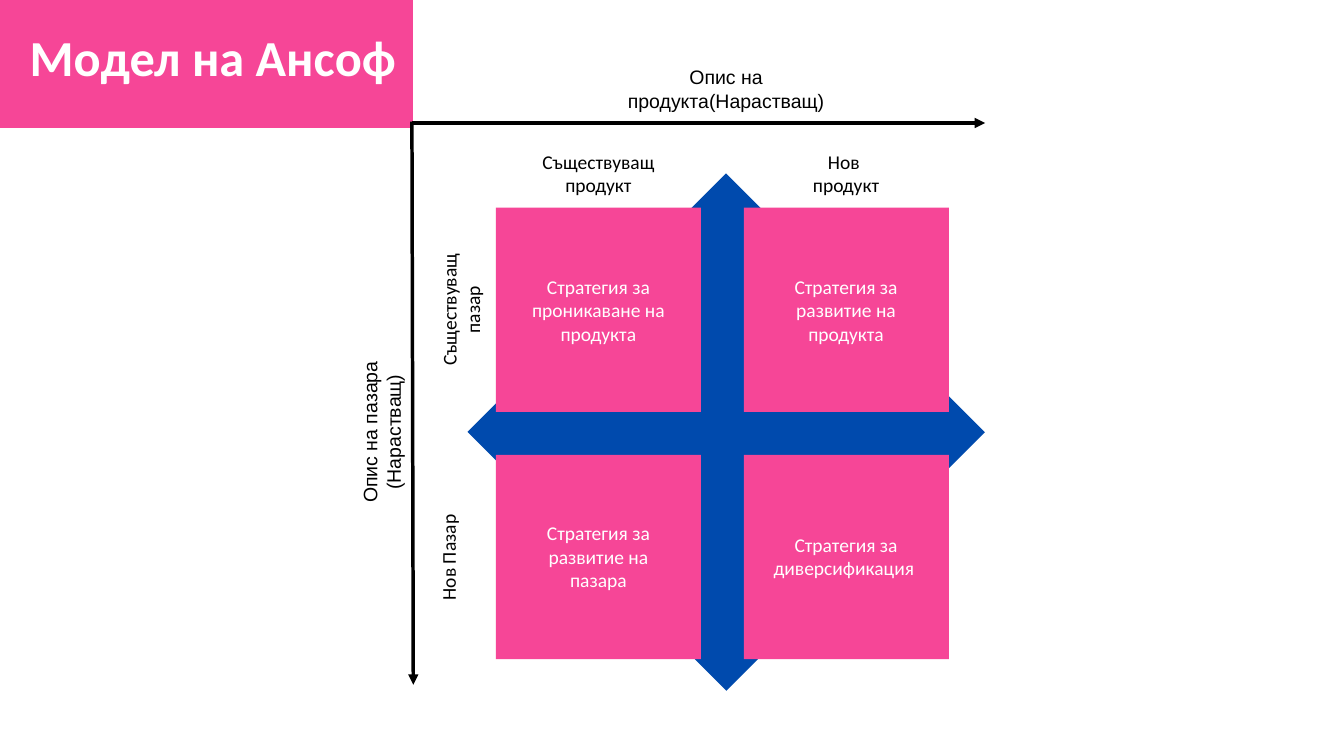
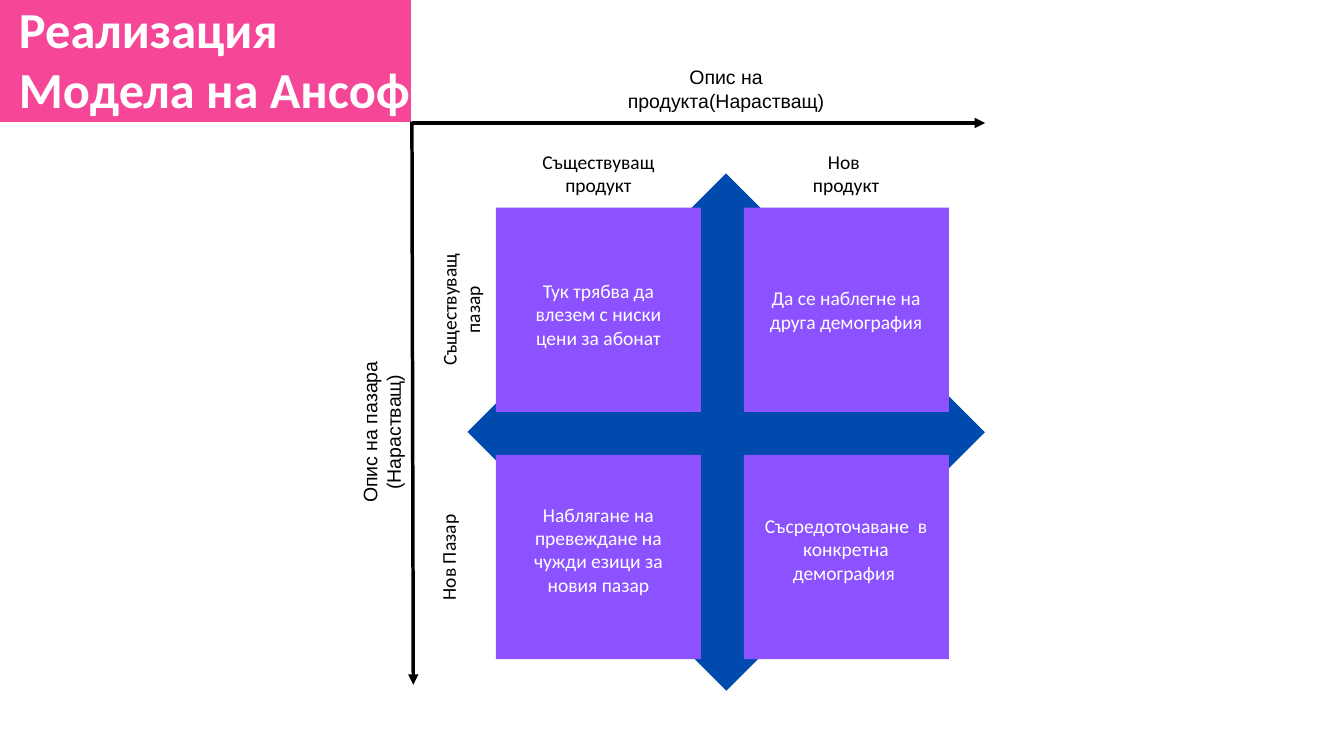
from dataclasses import dataclass
from itertools import product

from lxml.etree import SubElement
from pptx import Presentation
from pptx.dml.color import RGBColor
from pptx.enum.shapes import MSO_CONNECTOR, MSO_SHAPE
from pptx.enum.text import MSO_ANCHOR, MSO_AUTO_SIZE, PP_ALIGN
from pptx.oxml.ns import qn
from pptx.util import Emu, Pt

# Scale: 100 px to the inch
SCALE = 9144

PINK = RGBColor(0xF6, 0x46, 0x97)
BLUE = RGBColor(0x00, 0x4A, 0xAD)
VIOLET = RGBColor(0x8C, 0x52, 0xFF)
WHITE = RGBColor(0xFF, 0xFF, 0xFF)
BLACK = RGBColor(0x00, 0x00, 0x00)

# Format values
TITLE_FONT = {"name": "Calibri", "size": Pt(54), "bold": True}
TITLE_FRAME = {"vertical_anchor": MSO_ANCHOR.TOP,
               "auto_size": MSO_AUTO_SIZE.NONE}
LABEL_PARA = {"alignment": PP_ALIGN.CENTER, "line_spacing": Pt(25.1)}
LABEL_FRAME = {"margin_left": 0, "margin_top": 0, "margin_right": 0,
               "margin_bottom": 0, "word_wrap": True,
               "auto_size": MSO_AUTO_SIZE.SHAPE_TO_FIT_TEXT}

# Matrix grid
COLS, ROWS = (738, 1107), (309, 677)
CELL_W, CELL_H = 305, 304
TEXT_COLS = ((777, 227), (1135, 248))


@dataclass(frozen=True)
class Box:
    left: int
    top: int
    wide: int
    high: int

    def emu(self) -> list[Emu]:
        return [px(n) for n in (self.left, self.top, self.wide, self.high)]


@dataclass(frozen=True)
class Label:
    text: str
    box: Box
    face: str = "Calibri"
    color: RGBColor = BLACK
    turn: int = 0


@dataclass(frozen=True)
class Note:
    text: str
    top: int
    high: int


@dataclass(frozen=True)
class Page:
    title: str
    place: Box
    wrap: bool
    band: Box
    fill: RGBColor
    notes: tuple[Note, ...]  # column by column


# Labels of the axes, columns and rows
LABELS = (
    Label("Съществуващ продукт", Box(777, 223, 227, 69)),
    Label("Нов \nпродукт", Box(1167, 223, 184, 69)),
    Label("Съществуващ пазар", Box(571, 427, 227, 68), turn=270),
    Label("Нов Пазар", Box(575, 812, 184, 35), turn=270),
    Label("Опис на продукта(Нарастващ)", Box(921, 97, 319, 70), "Arial"),
    Label("Опис на пазара (Нарастващ)", Box(383, 608, 369, 70), "Arial",
          turn=270),
)

AXES = ((613, 183, 1466, 183), (613, 181, 615, 1019))

PAGES = (
    Page("Модел на Ансоф", Box(34, 34, 569, 101), False,
         Box(-14, -23, 630, 215), PINK,
         (Note("Стратегия за проникаване на продукта", 409, 103),
          Note("Стратегия за развитие на пазара", 776, 103),
          Note("Стратегия за развитие на продукта", 409, 105),
          Note("Стратегия за диверсификация ", 793, 69))),
    Page("Реализация\nМодела на Ансоф", Box(18, -8, 721, 192), True,
         Box(-14, -34, 627, 217), VIOLET,
         (Note("Тук трябва да влезем с ниски цени за абонат", 415, 103),
          Note("Наблягане на превеждане на чужди езици за новия пазар",
               748, 137),
          Note("Да се наблегне на друга демография", 426, 69),
          Note("Съсредоточаване  в конкретна демография ", 765, 103))),
)


def px(n: int) -> Emu:
    return Emu(n * SCALE)


def style(item, values: dict) -> None:
    for name, value in values.items():
        setattr(item, name, value)


def add_rect(slide, box: Box, fill: RGBColor):
    rect = slide.shapes.add_shape(MSO_SHAPE.RECTANGLE, *box.emu())
    rect.shadow.inherit = False
    rect.fill.solid()
    rect.fill.fore_color.rgb = fill
    rect.line.fill.background()
    return rect


def add_label(slide, label: Label) -> None:
    shape = slide.shapes.add_textbox(*label.box.emu())
    shape.rotation = label.turn
    frame = shape.text_frame
    style(frame, LABEL_FRAME)
    frame.text = label.text
    for para in frame.paragraphs:
        style(para, LABEL_PARA)
        style(para.font, {"name": label.face, "size": Pt(20.9)})
        para.font.color.rgb = label.color


def add_axis(slide, ends: tuple[int, ...]) -> None:
    axis = slide.shapes.add_connector(MSO_CONNECTOR.STRAIGHT, *map(px, ends))
    axis.line.width = Pt(3.75)
    axis.line.color.rgb = BLACK
    props = axis._element.spPr
    SubElement(props.find(qn("a:ln")), qn("a:tailEnd"), type="triangle")
    SubElement(props, qn("a:effectLst"))


def set_title(slide, page: Page) -> None:
    title = slide.shapes.title
    names = ("left", "top", "width", "height")
    style(title, dict(zip(names, page.place.emu())))
    frame = title.text_frame
    style(frame, TITLE_FRAME)
    frame.word_wrap = page.wrap
    frame.text = page.title
    for para in frame.paragraphs:
        para.alignment = PP_ALIGN.LEFT
        style(para.font, TITLE_FONT)
        para.font.color.rgb = WHITE
    # Bring the title in front of its band
    slide.shapes._spTree.append(title._element)


def add_page(deck, page: Page) -> None:
    slide = deck.slides.add_slide(deck.slide_layouts[5])

    # Title band
    band = add_rect(slide, page.band, PINK)
    band.line.color.rgb = WHITE
    band.line.width = Pt(2)

    # Diamond behind the matrix
    add_rect(slide, Box(808, 371, 545, 544), BLUE).rotation = 45

    # Matrix cells and their text
    for left, top in product(COLS, ROWS):
        add_rect(slide, Box(left, top, CELL_W, CELL_H), page.fill)
    for i, note in enumerate(page.notes):
        left, wide = TEXT_COLS[i // len(ROWS)]
        box = Box(left, note.top, wide, note.high)
        add_label(slide, Label(note.text, box, color=WHITE))

    # Labels, axes and title
    for label in LABELS:
        add_label(slide, label)
    for ends in AXES:
        add_axis(slide, ends)
    set_title(slide, page)


def main() -> None:
    deck = Presentation()
    deck.slide_width, deck.slide_height = px(2000), px(1125)
    for page in PAGES:
        add_page(deck, page)
    deck.save("out.pptx")


if __name__ == "__main__":
    main()
